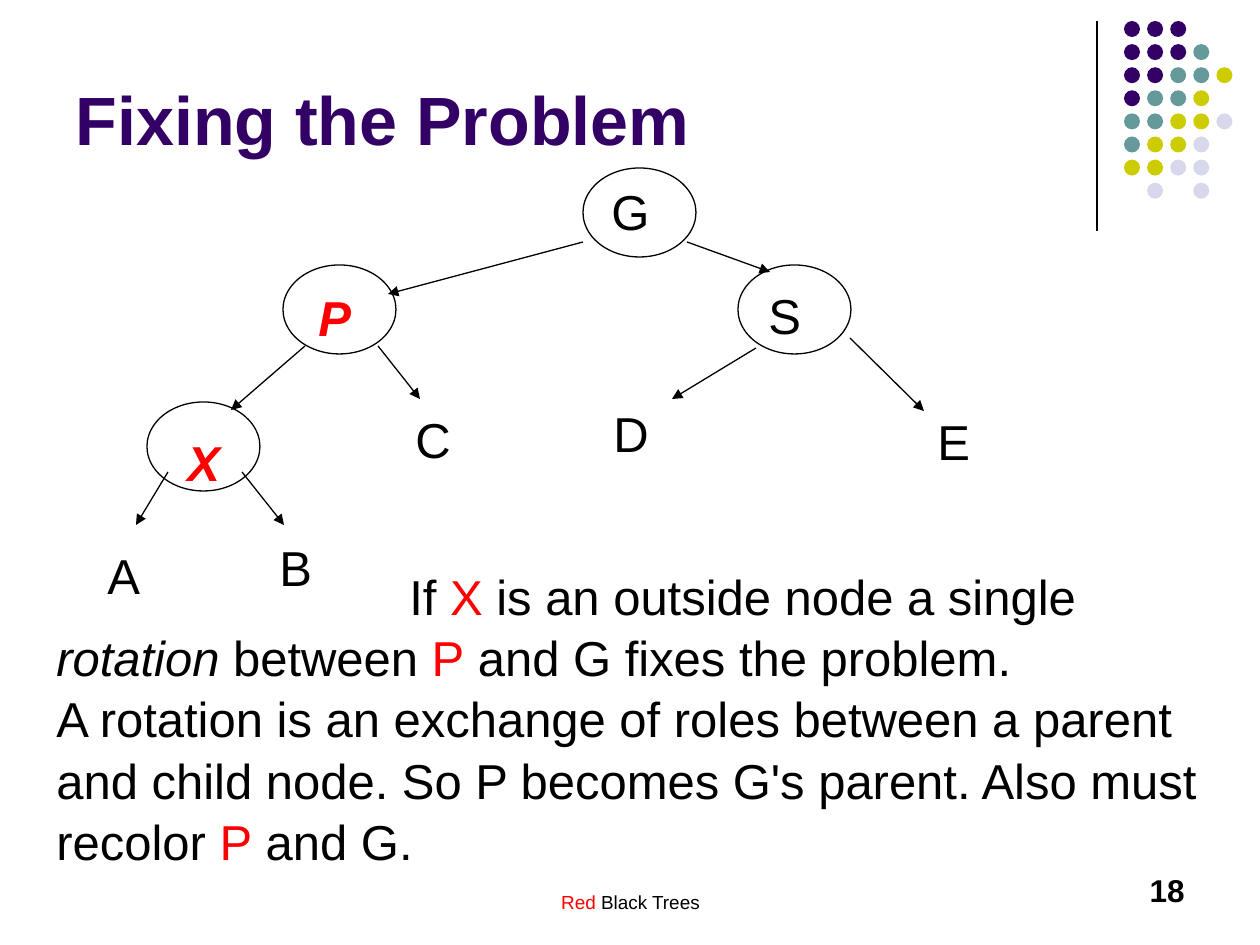
"""Build the red-black tree slide on fixing the problem by a single rotation."""
import pptx
import pptx.dml.color
import pptx.enum.shapes
import pptx.enum.text
import pptx.oxml
import pptx.oxml.ns
import pptx.util

RGB = pptx.dml.color.RGBColor
ALIGN = pptx.enum.text.PP_ALIGN
ANCHOR = pptx.enum.text.MSO_ANCHOR
OVAL = pptx.enum.shapes.MSO_SHAPE.OVAL
STRAIGHT = pptx.enum.shapes.MSO_CONNECTOR.STRAIGHT

BLACK = RGB(0x00, 0x00, 0x00)
RED = RGB(0xFF, 0x00, 0x00)
PURPLE = RGB(0x33, 0x00, 0x66)
TEAL = RGB(0x66, 0x99, 0x99)
OLIVE = RGB(0xCC, 0xCC, 0x00)
LILAC = RGB(0xD8, 0xD8, 0xEC)

FONT = "Arial"
EMU_PER_PX = 914400 / 126
NODE_SIZE = (113, 89)
LABEL_SIZE = (60, 72)
TEXT_DROP = 4

TITLE = "Fixing the Problem"
NODES = [(583, 168), (283, 265), (738, 265), (147, 402)]
LABELS = [
    ("G", 599, 171, {}),
    ("P", 306, 277, {"color": RED, "bold": True, "italic": True}),
    ("S", 756, 275, {}),
    ("X", 175, 422, {"color": RED, "bold": True, "italic": True}),
    ("A", 95, 535, {}),
    ("B", 267, 527, {}),
    ("C", 403, 399, {}),
    ("D", 601, 393, {}),
    ("E", 925, 401, {}),
]
ARROWS = [
    (583, 242, 388, 294),
    (687, 242, 770, 272),
    (850, 338, 924, 411),
    (756, 348, 672, 399),
    (305, 346, 231, 410),
    (378, 346, 420, 399),
    (168, 472, 136, 525),
    (242, 472, 284, 525),
]
EXPLANATION = [
    [("If ", {}), ("X", {"color": RED}), (" is an outside node a single", {})],
    [("rotation", {"italic": True}), (" between ", {}), ("P", {"color": RED}),
     (" and G fixes the problem.", {})],
    [("A rotation is an exchange of roles between a parent", {})],
    [("and child node. So P becomes G's parent. Also must", {})],
    [("recolor ", {}), ("P", {"color": RED}), (" and G.", {})],
]
FOOTER = [("Red", {"color": RED}), (" Black Trees", {})]
PAGE_NUMBER = [("18", {"bold": True})]

DOT_COLORS = {"P": PURPLE, "T": TEAL, "O": OLIVE, "L": LILAC}
DOT_ROWS = ["PPP", "PPPT", "PPTTO", "PTTO", "TTOOL", "TOOL", "OOLL", " L L"]
DOT_ORIGIN = (1124, 21)
DOT_PITCH = 23.1
DOT_SIZE = 16


def px(length):
    return pptx.util.Emu(round(length * EMU_PER_PX))


def add_run(paragraph, text, size, color=BLACK, bold=False, italic=False):
    run = paragraph.add_run()
    run.text = text
    font = run.font
    font.name, font.size = FONT, pptx.util.Pt(size)
    font.bold, font.italic = bold, italic
    font.color.rgb = color


def add_text(slide, box, lines, size, align=ALIGN.LEFT, wrap=True):
    frame = slide.shapes.add_textbox(*map(px, box)).text_frame
    frame.word_wrap = wrap
    paragraph = frame.paragraphs[0]
    paragraph.alignment = align
    for index, line in enumerate(lines):
        if index:
            paragraph.add_line_break()
        for text, style in line:
            add_run(paragraph, text, size, **style)
    return frame


def add_ellipse(slide, box, fill=None):
    ellipse = slide.shapes.add_shape(OVAL, *map(px, box))
    ellipse.shadow.inherit = False
    if fill is None:
        ellipse.fill.background()
        ellipse.line.color.rgb = BLACK
        ellipse.line.width = pptx.util.Pt(0.75)
    else:
        ellipse.fill.solid()
        ellipse.fill.fore_color.rgb = fill
        ellipse.line.fill.background()


def add_line(slide, ends, arrow=False):
    line = slide.shapes.add_connector(STRAIGHT, *map(px, ends))
    line.line.color.rgb = BLACK
    line.line.width = pptx.util.Pt(0.75)
    properties = line._element.spPr
    if arrow:
        head = pptx.oxml.parse_xml(
            f'<a:tailEnd {pptx.oxml.ns.nsdecls("a")} type="triangle"/>')
        line.line._get_or_add_ln().append(head)
    properties.append(pptx.oxml.parse_xml(
        f'<a:effectLst {pptx.oxml.ns.nsdecls("a")}/>'))


def add_title(slide):
    title = slide.shapes.title
    title.left, title.top, title.width, title.height = map(px, (63, 16, 1018, 149))
    title.text_frame.vertical_anchor = ANCHOR.BOTTOM
    paragraph = title.text_frame.paragraphs[0]
    paragraph.alignment = ALIGN.LEFT
    add_run(paragraph, TITLE, 39, PURPLE, bold=True)


def add_corner_dots(slide):
    add_line(slide, (1097, 21, 1097, 231))
    left, top = DOT_ORIGIN
    for row, codes in enumerate(DOT_ROWS):
        for column, code in enumerate(codes):
            if code in DOT_COLORS:
                box = (left + column * DOT_PITCH, top + row * DOT_PITCH,
                       DOT_SIZE, DOT_SIZE)
                add_ellipse(slide, box, DOT_COLORS[code])


def add_tree(slide):
    for corner in NODES:
        add_ellipse(slide, corner + NODE_SIZE)
    for letter, left, top, style in LABELS:
        add_text(slide, (left, top + TEXT_DROP, *LABEL_SIZE),
                 [[(letter, style)]], 28, wrap=False)
    for ends in ARROWS:
        add_line(slide, ends, arrow=True)


def add_explanation(slide):
    frame = add_text(slide, (44, 554 + TEXT_DROP, 1182, 365), EXPLANATION, 28)
    paragraph = frame.paragraphs[0]
    paragraph.line_spacing = 1.04
    paragraph._p.get_or_add_pPr().set("indent", str(px(353)))


def main():
    presentation = pptx.Presentation()
    presentation.slide_width, presentation.slide_height = px(1260), px(945)
    slide = presentation.slides.add_slide(presentation.slide_layouts[5])
    add_corner_dots(slide)
    add_title(slide)
    add_tree(slide)
    add_explanation(slide)
    footer = add_text(slide, (431, 861, 399, 63), [FOOTER], 10.8, ALIGN.CENTER)
    footer.margin_top = px(30)
    add_text(slide, (903, 861 + TEXT_DROP, 294, 63), [PAGE_NUMBER], 18, ALIGN.RIGHT)
    presentation.save("out.pptx")


if __name__ == "__main__":
    main()
